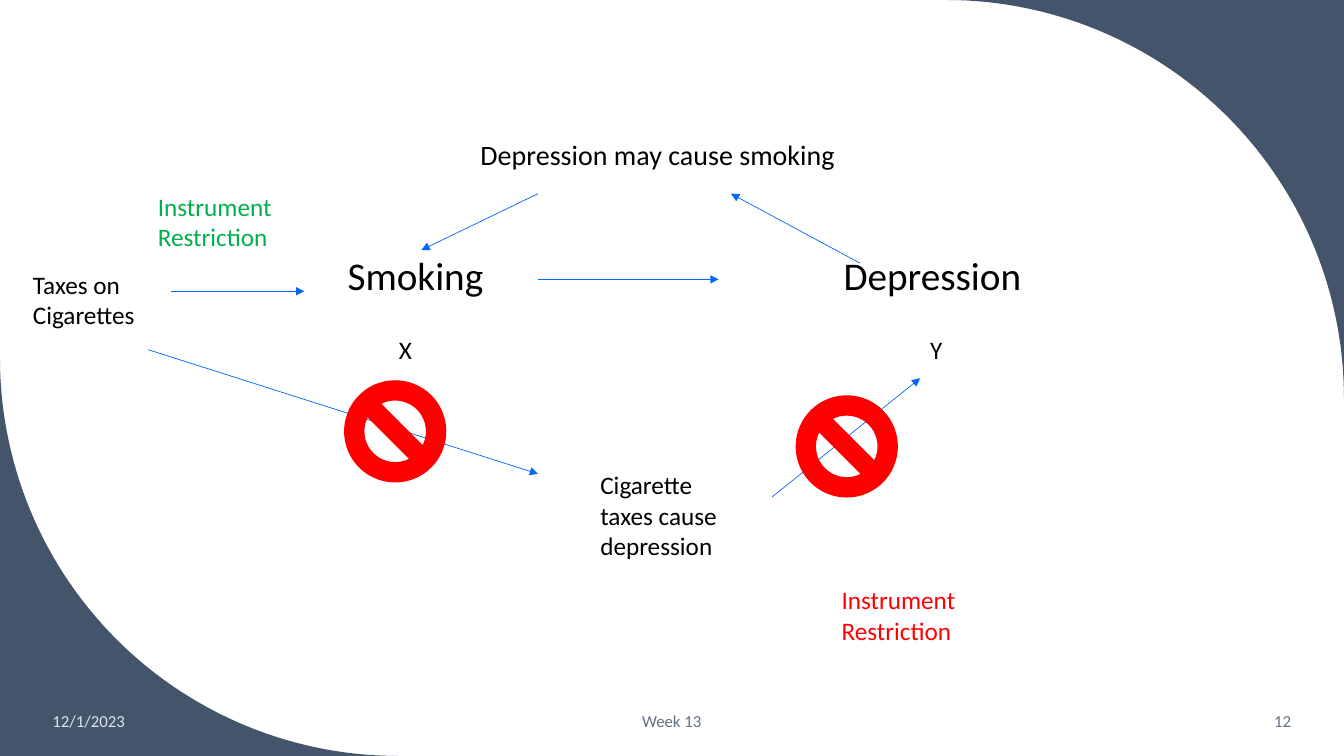
import math
from pptx import Presentation
from pptx.dml.color import RGBColor
from pptx.enum import shapes, text
from pptx.oxml.ns import qn
from pptx.util import Cm, Pt
from lxml import etree

WIDTH, HEIGHT = 33.87, 19.05
NAVY, BLUE, GREEN, RED = "44546A", "0068FF", "00B050", "FF0000"
PALE, GREY, BLACK = "DAE5EF", "637183", "000000"
ALIGN, ANCHOR = text.PP_ALIGN, text.MSO_ANCHOR


def rgb(value):
    return RGBColor.from_string(value)


def add_text(slide, content, x, y, w, h, size=18, color=BLACK,
             align=ALIGN.LEFT, anchor=ANCHOR.TOP, wrap=True):
    sp = slide.shapes.add_textbox(Cm(x), Cm(y), Cm(w), Cm(h))
    tf = sp.text_frame
    tf.word_wrap = wrap
    tf.vertical_anchor = anchor
    p = tf.paragraphs[0]
    p.alignment = align
    r = p.add_run()
    r.text = content
    r.font.name = "Calibri"
    r.font.size = Pt(size)
    r.font.color.rgb = rgb(color)


def add_arrow(slide, x1, y1, x2, y2):
    line = slide.shapes.add_connector(
        shapes.MSO_CONNECTOR.STRAIGHT, Cm(x1), Cm(y1), Cm(x2), Cm(y2))
    line.line.color.rgb = rgb(BLUE)
    line.line.width = Pt(0.5)
    etree.SubElement(line.line._get_or_add_ln(), qn("a:tailEnd"), type="triangle")
    etree.SubElement(line._element.spPr, qn("a:effectLst"))


def add_corner(slide, x, y, size, right_top):
    """Fill the part of a square that lies outside its quarter circle."""
    if right_top:
        tip, center, start = (x + size, y), (x, y + size), -90
    else:
        tip, center, start = (x, y + size), (x + size, y), 90
    angles = [math.radians(start + 1.5 * i) for i in range(61)]
    arc = [(Cm(center[0] + size * math.cos(a)), Cm(center[1] + size * math.sin(a)))
           for a in angles]
    builder = slide.shapes.build_freeform(Cm(tip[0]), Cm(tip[1]))
    builder.add_line_segments(arc, close=True)
    sp = builder.convert_to_shape()
    sp.shadow.inherit = False
    sp.fill.solid()
    sp.fill.fore_color.rgb = rgb(NAVY)
    sp.line.fill.background()


def add_background(slide, x, y, w, h):
    size = 10.03
    add_corner(slide, x + w - size, y, size, True)
    add_corner(slide, x, y + h - size, size, False)


def add_footer(slide, x, y, w, h):
    middle, side = 11.43, 4.6
    style = dict(size=12, anchor=ANCHOR.MIDDLE)
    add_text(slide, "12/1/2023", x, y, side, h, color=PALE, **style)
    add_text(slide, "Week 13", x + (w - middle) / 2, y, middle, h,
             color=GREY, align=ALIGN.CENTER, **style)
    add_text(slide, "12", x + w - side, y, side, h,
             color=GREY, align=ALIGN.RIGHT, **style)


def add_diagram(slide, x, y):
    # Arrows between causes and effects
    for x1, y1, x2, y2 in [
        (13.56, 7.04, 18.11, 7.04),    # smoking to depression
        (21.67, 6.63, 18.42, 4.88),    # depression to reverse cause
        (13.56, 4.88, 10.62, 6.3),     # reverse cause to smoking
        (4.32, 7.34, 7.67, 7.34),      # taxes to smoking
        (3.73, 8.81, 13.56, 11.94),    # taxes to direct effect
        (19.46, 12.52, 23.19, 9.53),   # direct effect to depression
    ]:
        add_arrow(slide, x + x1, y + y1, x + x2, y + y2)

    # Labels
    big = dict(size=28)
    tight = dict(wrap=False)
    for content, dx, dy, w, h, style in [
        ("Smoking", 8.51, 6.22, 4.34, 1.45, big),
        ("Depression", 21.01, 6.22, 5.21, 1.45, big),
        ("Depression may cause smoking", 11.86, 3.35, 10.11, 1.12,
         dict(size=20, wrap=False)),
        ("X", 9.8, 8.31, 0.86, 1.02, tight),
        ("Y", 23.19, 8.31, 0.86, 1.02, tight),
        ("Taxes on Cigarettes", 0.58, 6.65, 3.35, 1.8, {}),
        ("Cigarette taxes cause depression", 14.88, 11.71, 4.06, 2.57, {}),
        ("Instrument Restriction", 3.73, 4.7, 4.5, 1.8, dict(color=GREEN)),
        ("Instrument Restriction", 20.96, 14.61, 4.5, 1.8, dict(color=RED)),
    ]:
        add_text(slide, content, x + dx, y + dy, w, h, **style)

    # Signs over the forbidden path
    for dx, dy in [(8.69, 9.6), (20.07, 9.98)]:
        sp = slide.shapes.add_shape(shapes.MSO_SHAPE.NO_SYMBOL, Cm(x + dx),
                                    Cm(y + dy), Cm(2.54), Cm(2.54))
        sp.shadow.inherit = False
        sp.fill.solid()
        sp.fill.fore_color.rgb = rgb(RED)
        sp.line.color.rgb = rgb(RED)
        sp.line.width = Pt(1)


def main():
    prs = Presentation()
    prs.slide_width, prs.slide_height = Cm(WIDTH), Cm(HEIGHT)
    slide = prs.slides.add_slide(prs.slide_layouts[6])
    add_background(slide, 0, 0, WIDTH, HEIGHT)
    add_footer(slide, 1.07, 17.65, 31.72, 1.02)
    add_diagram(slide, 0, 0)
    prs.save("out.pptx")


if __name__ == "__main__":
    main()
